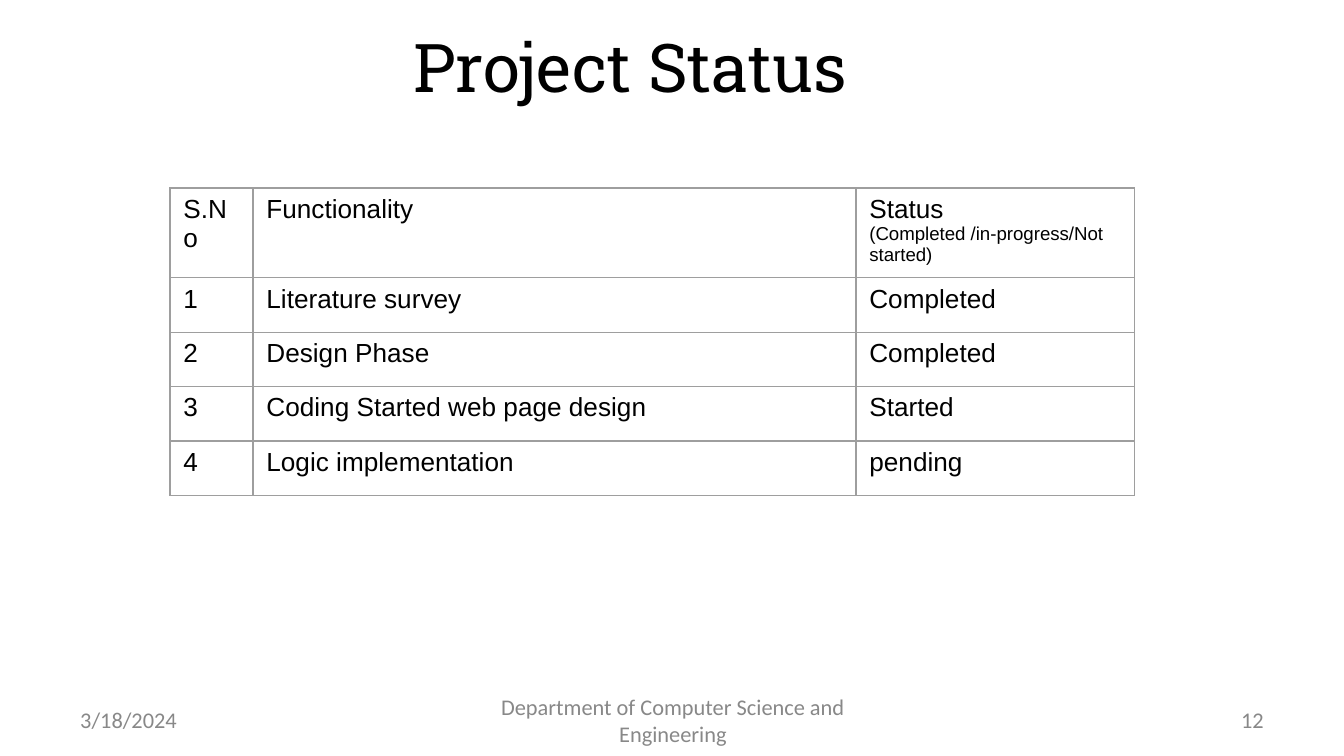
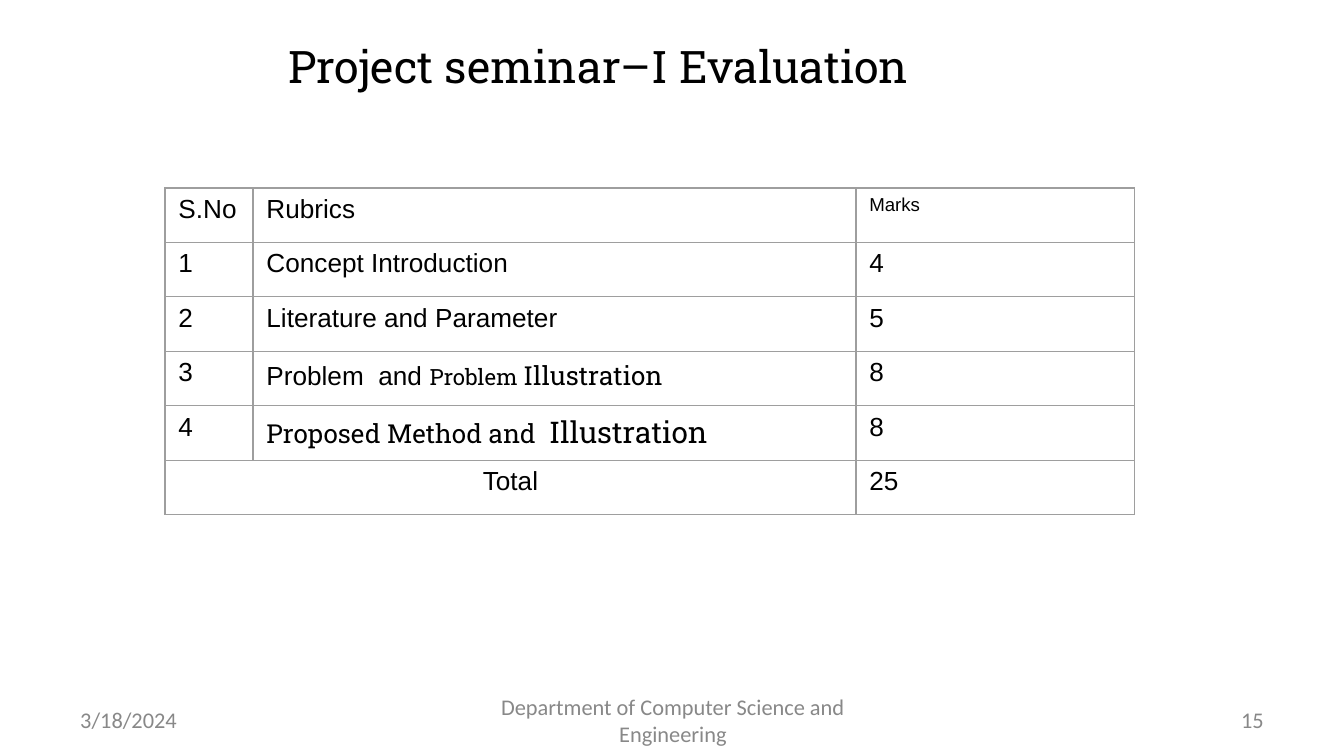
from lxml.etree import SubElement
from pptx import Presentation
from pptx.dml.color import RGBColor
from pptx.enum.text import MSO_ANCHOR, PP_ALIGN
from pptx.oxml.ns import qn
from pptx.util import Emu, Pt

COLORS = {"text": "000000", "footer": "888888", "border": "9E9E9E"}
BODY, SERIF, FOOT = "Arial", "Roboto Slab", "Calibri"
CELL = {"size": 14, "name": BODY, "color": "text"}
SMALL = {"size": 10}
SLAB = {"name": SERIF}

# Content: a cell is a string or a list of paragraphs, each a list of (text, format) runs
SLIDES = [
    {
        "title": ("Project Status", 36, 181),
        "number": "12",
        "table": {"left": 170, "height": 272, "cols": (83, 603, 279)},
        "rows": [
            ("S.No", "Functionality",
             [[("Status", {})], [("(Completed /in-progress/Not started)", SMALL)]]),
            ("1", "Literature survey", "Completed"),
            ("2", "Design Phase", "Completed"),
            ("3", "Coding Started web page design", "Started"),
            ("4", "Logic implementation", "pending"),
        ],
    },
    {
        "title": ("Project seminar–I Evaluation", 24, 149),
        "number": "15",
        "table": {"left": 165, "height": 327, "cols": (88, 603, 279)},
        "rows": [
            ("S.No", "Rubrics", [[("Marks", SMALL)]]),
            ("1", "Concept Introduction", "4"),
            ("2", "Literature and Parameter", "5"),
            ("3", [[("Problem  and ", {}), ("Problem ", {**SLAB, "size": 12}),
                    ("Illustration", SLAB)]], "8"),
            ("4", [[("Proposed Method and  ", SLAB),
                    ("Illustration", {**SLAB, "size": 16})]], "8"),
            ("Total", None, "25"),
        ],
    },
]
DATE = "3/18/2024"
DEPARTMENT = "Department of Computer Science and Engineering"

# Layout in px
WIDTH, HEIGHT = 1344, 756
TITLE_TOP, TITLE_W, TITLE_H = 19, 899, 93
TABLE_TOP = 188
FOOT_TOP, FOOT_H = 700, 40
DATE_X, NUMBER_X, SIDE_W = 67, 964, 313
DEPT_X, DEPT_W = 460, 426


def px(n):
    return Emu(round(n * 914400 / 134.4))


def add_run(p, text, fmt):
    r = p.add_run()
    r.text = text
    values = {**fmt, "size": Pt(fmt["size"])}
    r.font.color.rgb = RGBColor.from_string(COLORS[values.pop("color")])
    for key, value in values.items():
        setattr(r.font, key, value)


def add_text(s, box, text, fmt, align):
    tf = s.shapes.add_textbox(*map(px, box)).text_frame
    tf.word_wrap = True
    tf.vertical_anchor = MSO_ANCHOR.MIDDLE
    p = tf.paragraphs[0]
    p.alignment = align
    add_run(p, text, fmt)


def add_borders(cell):
    tc_pr = cell._tc.get_or_add_tcPr()
    for side in ("lnL", "lnR", "lnT", "lnB"):
        ln = SubElement(tc_pr, qn(f"a:{side}"), w=str(Pt(0.75)))
        fill = SubElement(ln, qn("a:solidFill"))
        SubElement(fill, qn("a:srgbClr"), val=COLORS["border"])


def fill_cell(cell, content):
    paragraphs = [[(content, {})]] if isinstance(content, str) else content
    tf = cell.text_frame
    for i, runs in enumerate(paragraphs):
        p = tf.add_paragraph() if i else tf.paragraphs[0]
        for text, fmt in runs:
            add_run(p, text, {**CELL, **fmt})


def add_grid(s, rows, left, height, cols):
    box = map(px, (left, TABLE_TOP, sum(cols), height))
    table = s.shapes.add_table(len(rows), len(cols), *box).table
    table.first_row = table.horz_banding = False
    for column, width in zip(table.columns, cols):
        column.width = px(width)
    for y, row in enumerate(rows):
        table.rows[y].height = px(height / len(rows))
        for x, content in enumerate(row):
            cell = table.cell(y, x)
            add_borders(cell)
            cell.fill.background()
            if content is None:  # joins the cell on its left
                start = table.cell(y, x - 1)
                start.merge(cell)
                start.text_frame.paragraphs[0].alignment = PP_ALIGN.CENTER
            else:
                fill_cell(cell, content)


def add_footer(s, number):
    fmt = {"size": 12, "name": FOOT, "color": "footer"}
    for x, w, text, align in (
        (DATE_X, SIDE_W, DATE, PP_ALIGN.LEFT),
        (DEPT_X, DEPT_W, DEPARTMENT, PP_ALIGN.CENTER),
        (NUMBER_X, SIDE_W, number, PP_ALIGN.RIGHT),
    ):
        add_text(s, (x, FOOT_TOP, w, FOOT_H), text, fmt, align)


def main():
    prs = Presentation()
    prs.slide_width, prs.slide_height = px(WIDTH), px(HEIGHT)
    for data in SLIDES:
        s = prs.slides.add_slide(prs.slide_layouts[6])
        text, size, left = data["title"]
        add_text(s, (left, TITLE_TOP, TITLE_W, TITLE_H), text,
                 {"size": size, "name": SERIF, "color": "text"}, PP_ALIGN.CENTER)
        add_grid(s, data["rows"], **data["table"])
        add_footer(s, data["number"])
    prs.save("out.pptx")


if __name__ == "__main__":
    main()
